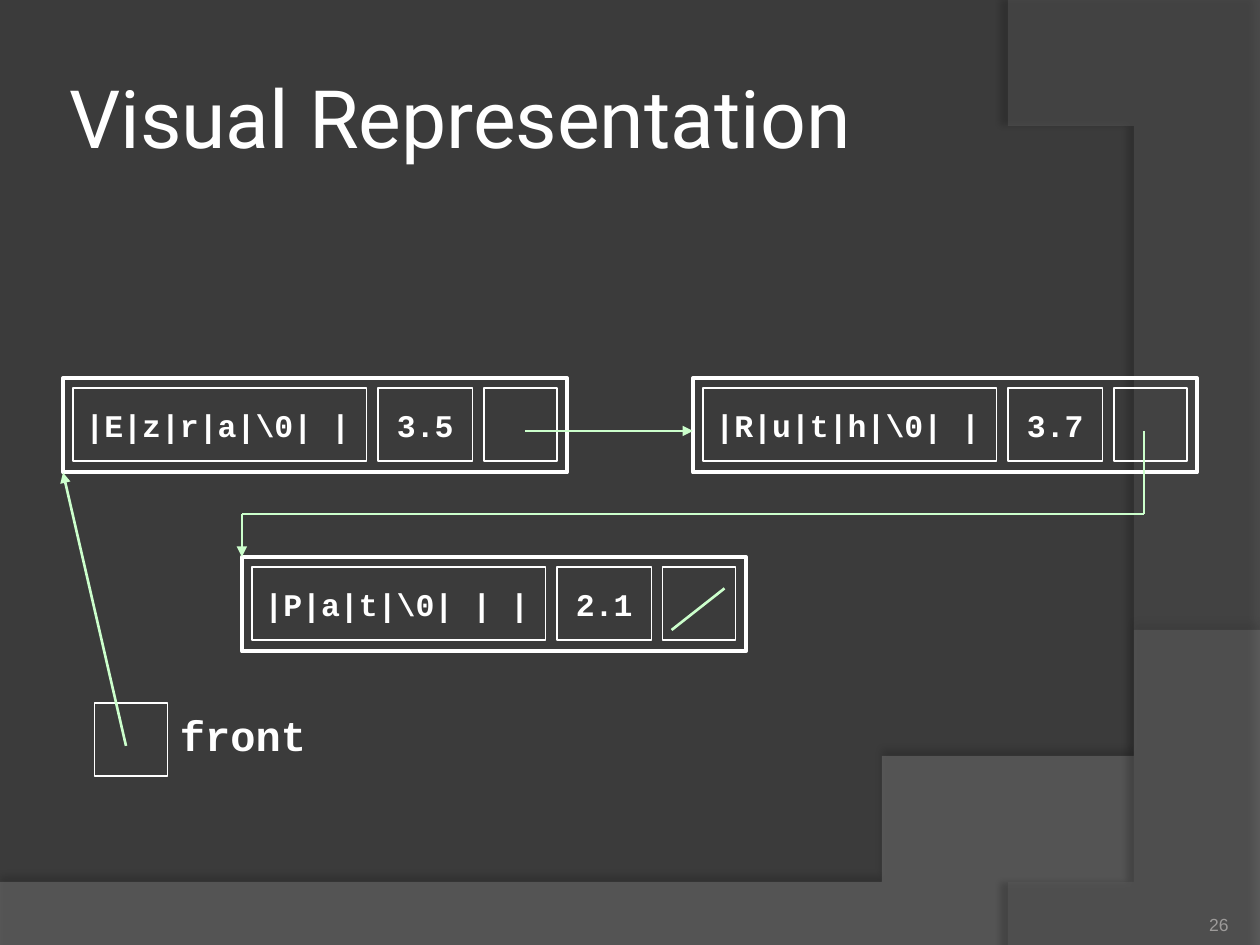
from lxml import etree
from pptx import Presentation
from pptx.dml.color import RGBColor
from pptx.enum import shapes, text
from pptx.oxml import ns
from pptx.util import Inches, Pt

BACKGROUND = RGBColor(0x3B, 0x3B, 0x3B)
WHITE = RGBColor(0xFF, 0xFF, 0xFF)
GREEN = RGBColor(0xCC, 0xFF, 0xCC)
FOOTER = RGBColor(0x9D, 0x9B, 0x9A)
WAVE = RGBColor(0x7F, 0x7F, 0x7F)
ARC = RGBColor(0x5E, 0x5E, 0x5E)
LEFT, CENTER, RIGHT = (text.PP_ALIGN.LEFT, text.PP_ALIGN.CENTER,
                       text.PP_ALIGN.RIGHT)
TOP, MIDDLE, BOTTOM = (text.MSO_ANCHOR.TOP, text.MSO_ANCHOR.MIDDLE,
                       text.MSO_ANCHOR.BOTTOM)
MONO = "Courier New"
CELL_H = 0.58
GAP = 0.08


def sub(parent, tag, **attrs):
    """Append a DrawingML child element and return it."""
    return etree.SubElement(parent, ns.qn(tag), attrs)


def write(sp, words, size=18, font=MONO, color=WHITE, bold=False,
          align=LEFT, anchor=MIDDLE, wrap=False, inset=None):
    """Put one formatted line of text in a shape."""
    tf = sp.text_frame
    tf.word_wrap = wrap
    tf.vertical_anchor = anchor
    if inset is not None:
        tf.margin_left = tf.margin_right = Inches(inset)
        tf.margin_top = tf.margin_bottom = Inches(inset)
    p = tf.paragraphs[0]
    p.alignment = align
    r = p.add_run()
    r.text = words
    r.font.size, r.font.name, r.font.bold = Pt(size), font, bold
    r.font.color.rgb = color


def add_label(s, x, y, w, h, words, **fmt):
    """Add a text box."""
    sp = s.shapes.add_textbox(Inches(x), Inches(y), Inches(w), Inches(h))
    write(sp, words, **fmt)
    return sp


def add_box(s, x, y, w, h=CELL_H, weight=0.75, words=None, align=CENTER):
    """Add an outlined rectangle, with text if given."""
    sp = s.shapes.add_shape(shapes.MSO_SHAPE.RECTANGLE, Inches(x), Inches(y),
                            Inches(w), Inches(h))
    sp.shadow.inherit = False
    sp.fill.background()
    sp.line.color.rgb = WHITE
    sp.line.width = Pt(weight)
    if words:
        write(sp, words, bold=True, align=align)


def add_line(s, start, end, arrow=False):
    """Add a straight green line, with an arrowhead at its end if asked."""
    sp = s.shapes.add_connector(shapes.MSO_CONNECTOR.STRAIGHT,
                                *(Inches(v) for v in (*start, *end)))
    sp.line.color.rgb = GREEN
    sp.line.width = Pt(1.5)
    if arrow:
        sub(sp.line._get_or_add_ln(), "a:tailEnd", type="triangle")
    sub(sp._element.spPr, "a:effectLst")


def add_node(s, x, y, name, grade):
    """Add a list node: a frame around name, grade and link cells."""
    add_box(s, x, y, 4, 0.75, weight=2.25)
    x += GAP
    for w, words, align in ((2.33, name, LEFT), (0.75, grade, CENTER),
                            (CELL_H, None, CENTER)):
        add_box(s, x, y + GAP, w, words=words, align=align)
        x += w + GAP + 0.01


def curve(a, b, c, d, steps=60):
    """Return points along a cubic Bezier curve, after its start."""
    points = []
    for i in range(1, steps + 1):
        t = i / steps
        weights = ((1 - t) ** 3, 3 * t * (1 - t) ** 2,
                   3 * t * t * (1 - t), t ** 3)
        points.append(tuple(sum(k * p[n] for k, p in zip(weights, (a, b, c, d)))
                            for n in (0, 1)))
    return points


def add_swoosh(s, points, color, alpha, shadow):
    """Add a translucent outline; shadow is alpha, blur, distance, angle."""
    builder = s.shapes.build_freeform(*points[0], scale=Inches(1))
    builder.add_line_segments(points[1:], close=True)
    sp = builder.convert_to_shape()
    sp.fill.solid()
    sp.fill.fore_color.rgb = color
    sp.line.fill.background()
    pr = sp._element.spPr
    fill = pr.find(ns.qn("a:solidFill"))
    sub(fill[0], "a:alpha", val=str(alpha * 1000))
    opacity, blur, dist, angle = shadow
    shade = sub(sub(pr, "a:effectLst"), "a:outerShdw", blurRad=str(Pt(blur)),
                dist=str(Pt(dist)), dir=str(angle * 60000), algn="ctr",
                rotWithShape="0")
    black = sub(shade, "a:srgbClr", val="000000")
    sub(black, "a:alpha", val=str(opacity * 1000))


def add_backdrop(s):
    """Paint the background and its two curved areas."""
    s.background.fill.solid()
    s.background.fill.fore_color.rgb = BACKGROUND
    wave = [(0, 7.05), (0, 7.51), (10, 7.51), (10, 5.2)]
    wave += curve((10, 5.2), (5.59, 7.29), (3.91, 7.19), (0, 7.05))
    add_swoosh(s, wave, WAVE, 45, (35, 4, 3.5, 270))
    arc = [(10, 0.02), (10, 7.5), (8.21, 7.5)]
    arc += curve((8.21, 7.5), (9.35, 6.19), (10.18, 3), (8, 0))
    add_swoosh(s, arc, ARC, 40, (45, 4, 4, 180))


def main():
    """Build the linked list slide."""
    prs = Presentation()
    prs.slide_width, prs.slide_height = Inches(10), Inches(7.5)
    s = prs.slides.add_slide(prs.slide_layouts[6])
    add_backdrop(s)
    add_label(s, 0.5, 0.3, 8.17, 1.25, "Visual Representation", size=46,
              font="Roboto", wrap=True, inset=0.05)
    add_label(s, 8.92, 7.02, 0.83, 0.4, "26", size=10, font="Arial",
              color=FOOTER, align=RIGHT, anchor=BOTTOM, wrap=True, inset=0)

    for x, y, name, grade in ((0.5, 3, "|E|z|r|a|\\0| |", "3.5"),
                              (5.5, 3, "|R|u|t|h|\\0| |", "3.7"),
                              (1.92, 4.42, "|P|a|t|\\0| | |", "2.1")):
        add_node(s, x, y, name, grade)

    add_line(s, (4.17, 3.42), (5.5, 3.42), arrow=True)
    route = [(9.08, 3.42), (9.08, 4.08), (1.92, 4.08), (1.92, 4.42)]
    for start, end in zip(route, route[1:]):
        add_line(s, start, end, arrow=end == route[-1])
    add_line(s, (5.75, 4.67), (5.33, 5))

    add_box(s, 0.75, 5.58, CELL_H)
    add_line(s, (1, 5.92), (0.5, 3.75), arrow=True)
    front = add_label(s, 1.33, 5.58, 1.2, 0.5, "front", size=24, bold=True,
                      anchor=TOP)
    front.text_frame.auto_size = text.MSO_AUTO_SIZE.SHAPE_TO_FIT_TEXT
    prs.save("out.pptx")


main()
